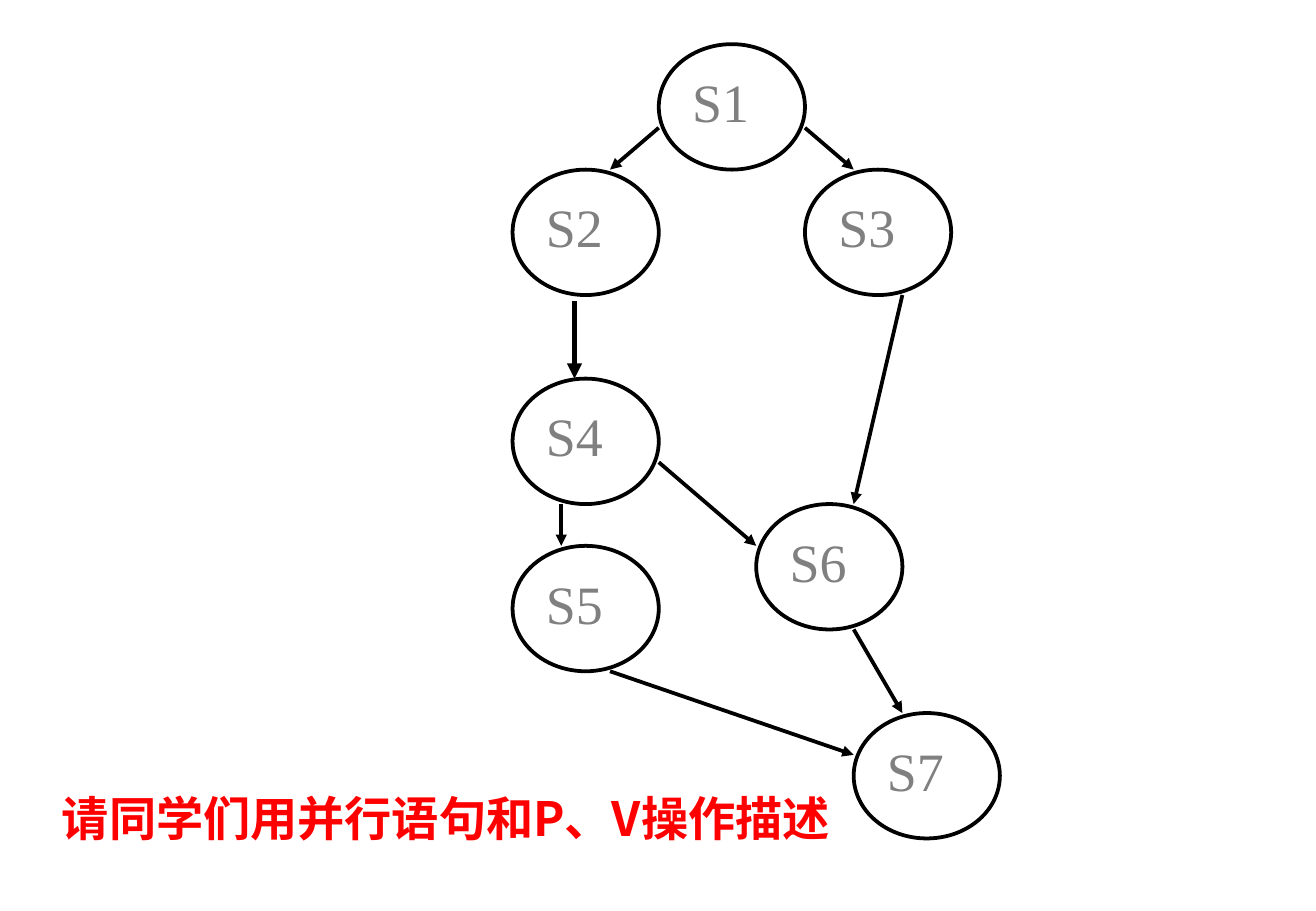
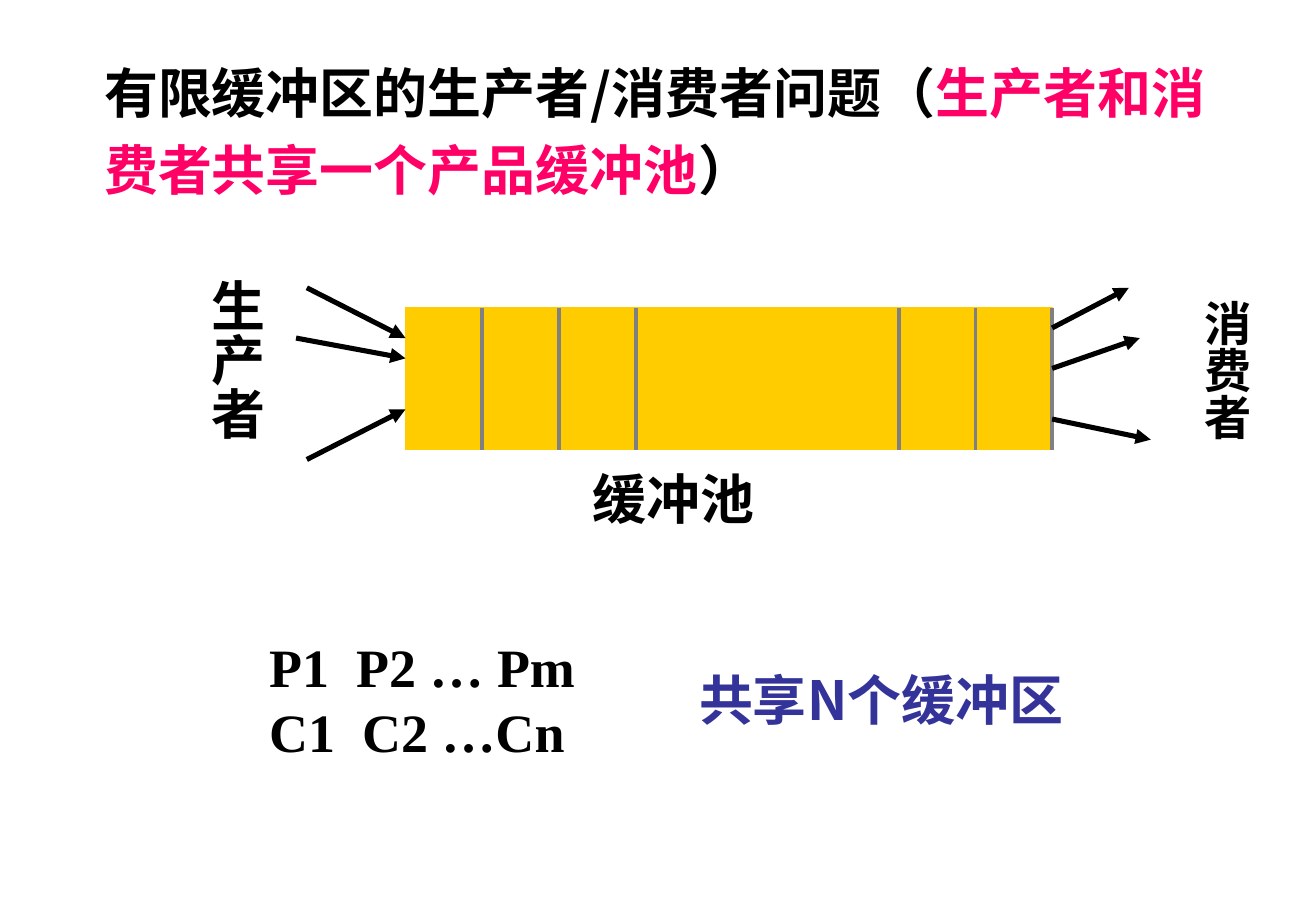
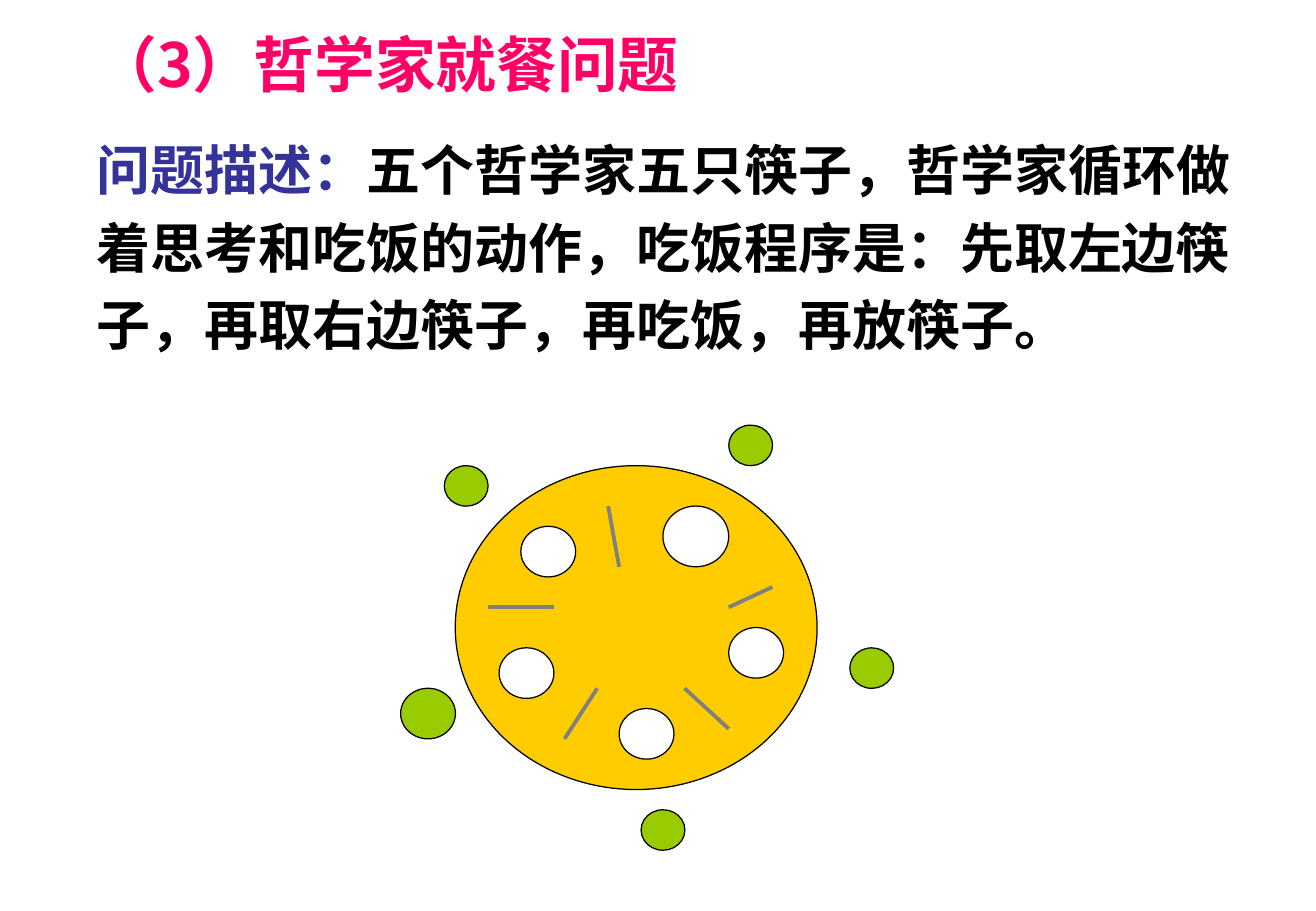
from lxml import etree
from pptx import Presentation
from pptx.dml.color import RGBColor
from pptx.enum.shapes import MSO_CONNECTOR, MSO_SHAPE
from pptx.enum.text import MSO_ANCHOR, MSO_AUTO_SIZE, PP_ALIGN
from pptx.oxml.ns import qn
from pptx.util import Pt

OVAL, RECT = MSO_SHAPE.OVAL, MSO_SHAPE.RECTANGLE
STRAIGHT = MSO_CONNECTOR.STRAIGHT
TOP = MSO_ANCHOR.TOP
NO_FIT, GROW = MSO_AUTO_SIZE.NONE, MSO_AUTO_SIZE.SHAPE_TO_FIT_TEXT
LEFT = PP_ALIGN.LEFT

BLACK = RGBColor(0x00, 0x00, 0x00)
WHITE = RGBColor(0xFF, 0xFF, 0xFF)
GREY = RGBColor(0x80, 0x80, 0x80)
RED = RGBColor(0xFF, 0x00, 0x00)
PINK = RGBColor(0xFF, 0x00, 0x66)
BLUE = RGBColor(0x33, 0x33, 0x99)
GOLD = RGBColor(0xFF, 0xCC, 0x00)
GREEN = RGBColor(0x99, 0xCC, 0x00)

SANS, SERIF = "Noto Sans CJK SC", "Times New Roman"
TITLE_ONLY, TITLE_AND_BODY = 5, 1
LEADING, LOOSE = 1.2, 1.43


def set_attrs(obj, values):
    """Set each attribute of obj from a dict."""
    for name, value in values.items():
        setattr(obj, name, value)


def write(sp, lines, size, font=SANS, bold=True, leading=LEADING):
    """Fill a shape with lines, each a list of (text, colour) runs."""
    tf = sp.text_frame
    set_attrs(tf, {"word_wrap": True, "auto_size": NO_FIT, "vertical_anchor": TOP,
                   "margin_left": Pt(7.2), "margin_right": Pt(7.2),
                   "margin_top": Pt(3.6), "margin_bottom": Pt(3.6)})
    for i, runs in enumerate(lines):
        p = tf.add_paragraph() if i else tf.paragraphs[0]
        set_attrs(p, {"alignment": LEFT, "space_before": Pt(0),
                      "line_spacing": Pt(round(size * leading, 1))})
        p_pr = p._p.get_or_add_pPr()
        p_pr.set("marL", "0")
        p_pr.set("indent", "0")
        etree.SubElement(p_pr, qn("a:buNone"))
        for text, color in runs:
            r = p.add_run()
            r.text = text
            set_attrs(r.font, {"name": font, "size": Pt(size), "bold": bold})
            r.font.color.rgb = color
            etree.SubElement(r._r.get_or_add_rPr(), qn("a:ea"), typeface=SANS)


def add_text(s, box, lines, size, **style):
    """Add a text box and return it."""
    sp = s.shapes.add_textbox(*map(Pt, box))
    write(sp, lines, size, **style)
    return sp


def add_vertical_text(s, box, text, size):
    """Add a text box with upright characters in a column."""
    tf = add_text(s, box, [[(text, BLACK)]], size, font=SERIF).text_frame
    set_attrs(tf, {"auto_size": GROW, "margin_left": Pt(3.6), "margin_right": Pt(3.6),
                   "margin_top": Pt(7.2), "margin_bottom": Pt(7.2)})
    tf._txBody.bodyPr.set("vert", "eaVert")


def fill_placeholder(sp, box, runs, size, **style):
    """Move a placeholder and fill it with one paragraph."""
    set_attrs(sp, dict(zip(("left", "top", "width", "height"), map(Pt, box))))
    write(sp, [runs], size, **style)


def add_figure(s, kind, box, fill, line=BLACK, weight=0.75):
    """Add a filled and outlined preset shape."""
    sp = s.shapes.add_shape(kind, *map(Pt, box))
    sp.shadow.inherit = False
    sp.fill.solid()
    sp.fill.fore_color.rgb = fill
    sp.line.color.rgb = line
    sp.line.width = Pt(weight)
    return sp


def add_line(s, ends, color, weight=2.25, arrow=False):
    """Add a straight line, with an arrowhead at its end if asked."""
    cx = s.shapes.add_connector(STRAIGHT, *map(Pt, ends))
    cx.line.color.rgb = color
    cx.line.width = Pt(weight)
    if arrow:
        etree.SubElement(cx.line._get_or_add_ln(), qn("a:tailEnd"), type="triangle")
    etree.SubElement(cx._element.spPr, qn("a:effectLst"))


def new_slide(prs, layout):
    """Add a slide on the numbered layout."""
    return prs.slides.add_slide(prs.slide_layouts[layout])


def precedence_slide(prs):
    """Draw the precedence graph of seven statements on a grid."""
    s = new_slide(prs, TITLE_ONLY)
    left, top, col, row = 304, 26.2, 28.9, 24.78

    def at(c, r):
        """Return the point at a grid column and row."""
        return left + c * col, top + r * row

    nodes = [(3, 0), (0, 3), (6, 3), (0, 8), (0, 12), (5, 11), (7, 16)]
    for number, cell in enumerate(nodes, 1):
        sp = add_figure(s, OVAL, (*at(*cell), 3 * col, 3 * row), WHITE, weight=2.25)
        write(sp, [[(f"S{number}", GREY)]], 32, font=SERIF, bold=False)
    arrows = [((3, 2), (2, 3)), ((6, 2), (7, 3)), ((1, 11), (1, 12)), ((3, 10), (5, 12)),
              ((8, 6), (7, 11)), ((2, 15), (7, 17)), ((7, 14), (8, 16))]
    for start, end in arrows:
        add_line(s, (*at(*start), *at(*end)), BLACK, arrow=True)
    add_line(s, (*at(1.27, 6.15), *at(1.27, 8)), BLACK, 3, arrow=True)
    fill_placeholder(s.shapes.title, (29.5, 464, 476.6, 75),
                     [("请同学们用并行语句和P、V操作描述", RED)], 28)


def buffer_slide(prs):
    """Draw producers and consumers sharing a buffer pool."""
    s = new_slide(prs, TITLE_ONLY)
    fill_placeholder(s.shapes.title, (54.5, 24.4, 676, 99),
                     [("有限缓冲区的生产者/消费者问题（", BLACK),
                      ("生产者和消费者共享一个产品缓冲池", PINK), ("）", BLACK)],
                     32, leading=LOOSE)
    left, top, width, height, slot = 240.5, 182.4, 383.5, 84.2, 45.5
    right = left + width
    add_figure(s, RECT, (left, top, width, height), GOLD, GOLD)
    dividers = [left + slot * i for i in (1, 2, 3)] + [right - slot * i for i in (2, 1, 0)]
    for x in dividers:
        add_line(s, (x, top, x, top + height), GREY)
    for x, y, end in [(182, 170.6, 200.4), (175.6, 200.4, 212.4), (182, 272.4, 242.6)]:
        add_line(s, (x, y, left, end), BLACK, 3, arrow=True)
    for start, x, y in [(194.4, 669.5, 170.6), (218.4, 676, 200.4), (248.4, 682.5, 260.6)]:
        add_line(s, (right, start, x, y), BLACK, 3, arrow=True)
    add_vertical_text(s, (110.2, 158.4, 52.6, 139.7), "生产者", 32)
    add_vertical_text(s, (700, 170.6, 47.5, 147.6), "消费者", 28)
    add_text(s, (344.2, 272.4, 130.3, 46), [[("缓冲池", BLACK)]], 32, font=SERIF)
    add_text(s, (152.6, 372.2, 203.8, 84.2),
             [[("P1  P2 … Pm", BLACK)], [("C1  C2 …Cn", BLACK)]], 32, font=SERIF)
    add_text(s, (407.5, 391.8, 247.7, 46), [[("共享N个缓冲区", BLUE)]], 32)


def philosophers_slide(prs):
    """Describe the dining philosophers and draw their table."""
    s = new_slide(prs, TITLE_AND_BODY)
    fill_placeholder(s.shapes.title, (50, 12.3, 697, 50), [("（3）哲学家就餐问题", PINK)], 36)
    fill_placeholder(s.placeholders[1], (50, 70.2, 697, 145),
                     [("问题描述：", BLUE),
                      ("五个哲学家五只筷子，哲学家循环做着思考和吃饭的动作，吃饭程序是："
                       "先取左边筷子，再取右边筷子，再吃饭，再放筷子。", BLACK)],
                     32, leading=LOOSE)
    add_figure(s, OVAL, (270, 276, 214.6, 192), GOLD)
    small, medium, large = (26, 24), (32.5, 30), (39, 36)
    plates = [(367.2, 420, medium), (432.2, 372, medium), (393.2, 300, large),
              (308.9, 312, medium), (296, 384, medium)]
    philosophers = [(432.2, 252, small), (504, 384, small), (263.5, 276, small),
                    (237.6, 408, medium), (380.2, 480, small)]
    for seats, fill in ((plates, WHITE), (philosophers, GREEN)):
        for x, y, size in seats:
            add_figure(s, OVAL, (x, y, *size), fill)
    chopsticks = [(354.2, 408, 334.8, 438), (406, 408, 432.2, 432), (432.2, 360, 458, 348),
                  (367.2, 336, 360.7, 300), (289.4, 360, 328.3, 360)]
    for ends in chopsticks:
        add_line(s, ends, GREY)


def main():
    """Build and save the presentation."""
    prs = Presentation()
    prs.slide_width = Pt(780.48)
    prs.slide_height = Pt(540)
    for build in (precedence_slide, buffer_slide, philosophers_slide):
        build(prs)
    prs.save("out.pptx")


if __name__ == "__main__":
    main()
